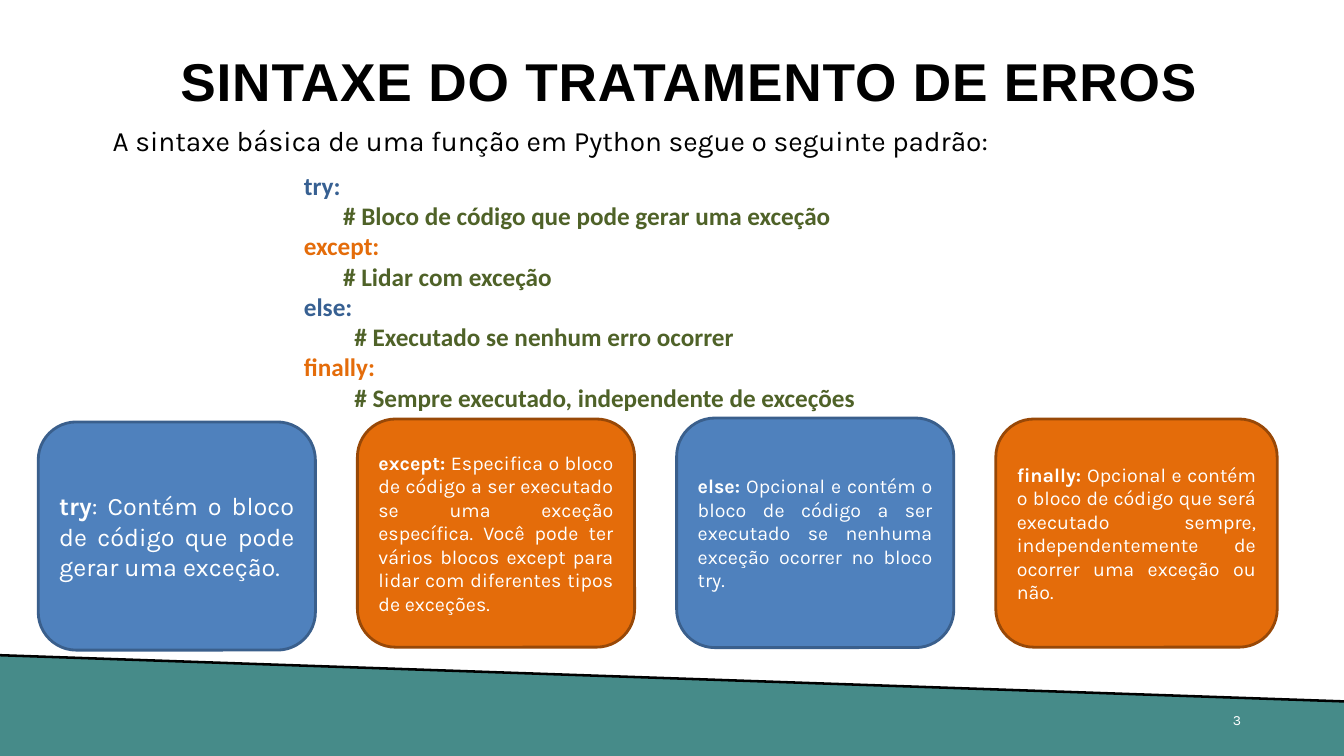
from pptx import Presentation
from pptx.dml.color import RGBColor
from pptx.enum.shapes import MSO_CONNECTOR, MSO_SHAPE
from pptx.enum.text import MSO_ANCHOR, MSO_AUTO_SIZE, PP_ALIGN
from pptx.oxml.ns import qn
from pptx.util import Pt
from lxml.etree import SubElement

BLACK = RGBColor(0x00, 0x00, 0x00)
WHITE = RGBColor(0xFF, 0xFF, 0xFF)
TEAL = RGBColor(0x46, 0x8B, 0x89)
BLUE = RGBColor(0x4F, 0x81, 0xBD)
BLUE_EDGE = RGBColor(0x3A, 0x5F, 0x8C)
BLUE_TEXT = RGBColor(0x37, 0x60, 0x92)
ORANGE = RGBColor(0xE4, 0x6C, 0x0A)
ORANGE_EDGE = RGBColor(0x98, 0x48, 0x07)
GREEN = RGBColor(0x4F, 0x62, 0x28)

SLIDE_WIDTH, SLIDE_HEIGHT = 960, 540
BAND_LEFT_Y, BAND_RIGHT_Y = 468, 501
CARD_LEFT, CARD_PITCH = 27.3, 228

CODE = [
    ("try:", BLUE_TEXT, 0),
    ("# Bloco de código que pode gerar uma exceção", GREEN, 28),
    ("except:", ORANGE, 0),
    ("# Lidar com exceção", GREEN, 28),
    ("else:", BLUE_TEXT, 0),
    ("# Executado se nenhum erro ocorrer", GREEN, 36),
    ("finally:", ORANGE, 0),
    ("# Sempre executado, independente de exceções", GREEN, 36),
]

CARDS = [
    ("try", ": Contém o bloco de código que pode gerar uma exceção.",
     18, 301.4, 198, 163, BLUE, BLUE_EDGE),
    ("except:", " Especifica o bloco de código a ser executado se uma exceção "
     "específica. Você pode ter vários blocos except para lidar com "
     "diferentes tipos de exceções.",
     14, 299.3, 198, 163, ORANGE, ORANGE_EDGE),
    ("else:", " Opcional e contém o bloco de código a ser executado se nenhuma "
     "exceção ocorrer no bloco try.",
     14, 298.6, 198, 164, BLUE, BLUE_EDGE),
    ("finally:", " Opcional e contém o bloco de código que será executado sempre, "
     "independentemente de ocorrer uma exceção ou não.",
     14, 299.3, 201, 163, ORANGE, ORANGE_EDGE),
]


def add_run(paragraph, text, font, size, color, bold=False, spacing=0):
    """Append a formatted run; spacing is in points between letters."""
    run = paragraph.add_run()
    run.text = text
    run.font.name = font
    run.font.size = Pt(size)
    run.font.color.rgb = color
    run.font.bold = bold
    if spacing:
        run._r.get_or_add_rPr().set("spc", str(round(spacing * 100)))


def indent(paragraph, left):
    """Set the left margin of a paragraph in points, without a hanging line."""
    properties = paragraph._p.get_or_add_pPr()
    properties.set("marL", str(Pt(left)))
    properties.set("indent", "0")


def set_insets(frame, left, top, right, bottom):
    """Set the four text margins in points."""
    frame.margin_left, frame.margin_top = Pt(left), Pt(top)
    frame.margin_right, frame.margin_bottom = Pt(right), Pt(bottom)


def add_text_box(slide, left, top, width, height):
    """Add an empty wrapping text box and return its frame."""
    box = slide.shapes.add_textbox(Pt(left), Pt(top), Pt(width), Pt(height))
    box.text_frame.word_wrap = True
    return box.text_frame


def add_footer_band(slide):
    """Draw the slanted teal band and the black line along its top edge."""
    builder = slide.shapes.build_freeform(Pt(0), Pt(BAND_LEFT_Y))
    corners = [(0, SLIDE_HEIGHT), (SLIDE_WIDTH, SLIDE_HEIGHT), (SLIDE_WIDTH, BAND_RIGHT_Y)]
    builder.add_line_segments([(Pt(x), Pt(y)) for x, y in corners])
    band = builder.convert_to_shape()
    band.shadow.inherit = False
    band.fill.solid()
    band.fill.fore_color.rgb = TEAL
    band.line.fill.background()
    edge = slide.shapes.add_connector(
        MSO_CONNECTOR.STRAIGHT, Pt(0), Pt(BAND_LEFT_Y), Pt(SLIDE_WIDTH), Pt(BAND_RIGHT_Y))
    edge.line.color.rgb = BLACK
    edge.line.width = Pt(1.8)
    SubElement(edge._element.spPr, qn("a:effectLst"))


def format_title(slide, text):
    """Place and fill the title placeholder."""
    title = slide.shapes.title
    title.left, title.top, title.width, title.height = Pt(84.2), Pt(32.4), Pt(791), Pt(47.5)
    frame = title.text_frame
    frame.word_wrap = True
    frame.auto_size = MSO_AUTO_SIZE.NONE
    frame.vertical_anchor = MSO_ANCHOR.TOP
    set_insets(frame, 0, 6.5, 0, 0)
    paragraph = frame.paragraphs[0]
    paragraph.alignment = PP_ALIGN.CENTER
    paragraph.line_spacing = Pt(41)
    paragraph.space_before = Pt(6.2)
    indent(paragraph, 25)
    add_run(paragraph, text, "Arial", 38, BLACK, bold=True, spacing=0.6)


def add_page_number(slide, number):
    """Add the page number on the band."""
    frame = add_text_box(slide, 877.7, 507.6, 12, 14.4)
    set_insets(frame, 0, 0.7, 0, 0)
    paragraph = frame.paragraphs[0]
    paragraph.space_before = Pt(0.6)
    indent(paragraph, 3)
    add_run(paragraph, number, "Karla", 10, WHITE, spacing=0.2)


def add_introduction(slide, text):
    """Add the sentence below the title."""
    paragraph = add_text_box(slide, 73.4, 85, 816, 31.5).paragraphs[0]
    paragraph.alignment = PP_ALIGN.JUSTIFY
    add_run(paragraph, text, "Karla", 20, BLACK)


def add_code(slide, lines):
    """Add the code listing, one paragraph per line."""
    frame = add_text_box(slide, 210, 118, 522, 181.5)
    for index, (text, color, left) in enumerate(lines):
        paragraph = frame.add_paragraph() if index else frame.paragraphs[0]
        indent(paragraph, left)
        add_run(paragraph, text, "Calibri", 18, color, bold=True)


def add_card(slide, left, keyword, text, size, top, width, height, fill, edge):
    """Add a rounded card that explains one keyword."""
    card = slide.shapes.add_shape(
        MSO_SHAPE.ROUNDED_RECTANGLE, Pt(left), Pt(top), Pt(width), Pt(height))
    card.shadow.inherit = False
    card.fill.solid()
    card.fill.fore_color.rgb = fill
    card.line.color.rgb = edge
    card.line.width = Pt(2)
    card.text_frame.word_wrap = True
    card.text_frame.vertical_anchor = MSO_ANCHOR.MIDDLE
    paragraph = card.text_frame.paragraphs[0]
    paragraph.alignment = PP_ALIGN.JUSTIFY
    add_run(paragraph, keyword, "Karla", size, WHITE, bold=True)
    add_run(paragraph, text, "Karla", size, WHITE)


def main():
    """Build the slide and save it."""
    presentation = Presentation()
    presentation.slide_width, presentation.slide_height = Pt(SLIDE_WIDTH), Pt(SLIDE_HEIGHT)
    slide = presentation.slides.add_slide(presentation.slide_layouts[5])
    add_footer_band(slide)
    format_title(slide, "SINTAXE DO TRATAMENTO DE ERROS")
    add_page_number(slide, "3")
    add_introduction(slide, "A sintaxe básica de uma função em Python segue o seguinte padrão:")
    add_code(slide, CODE)
    for index, card in enumerate(CARDS):
        add_card(slide, CARD_LEFT + index * CARD_PITCH, *card)
    presentation.save("out.pptx")


if __name__ == "__main__":
    main()
